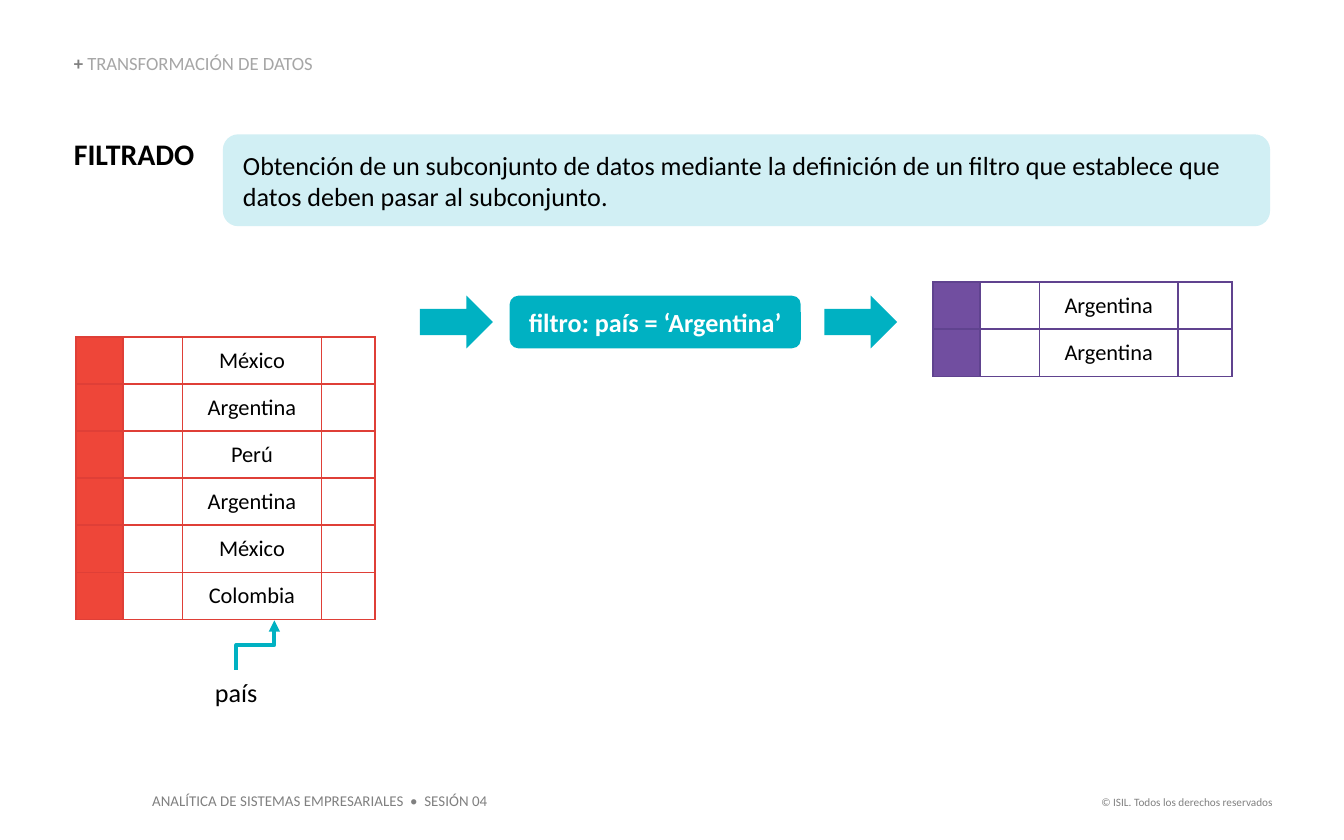
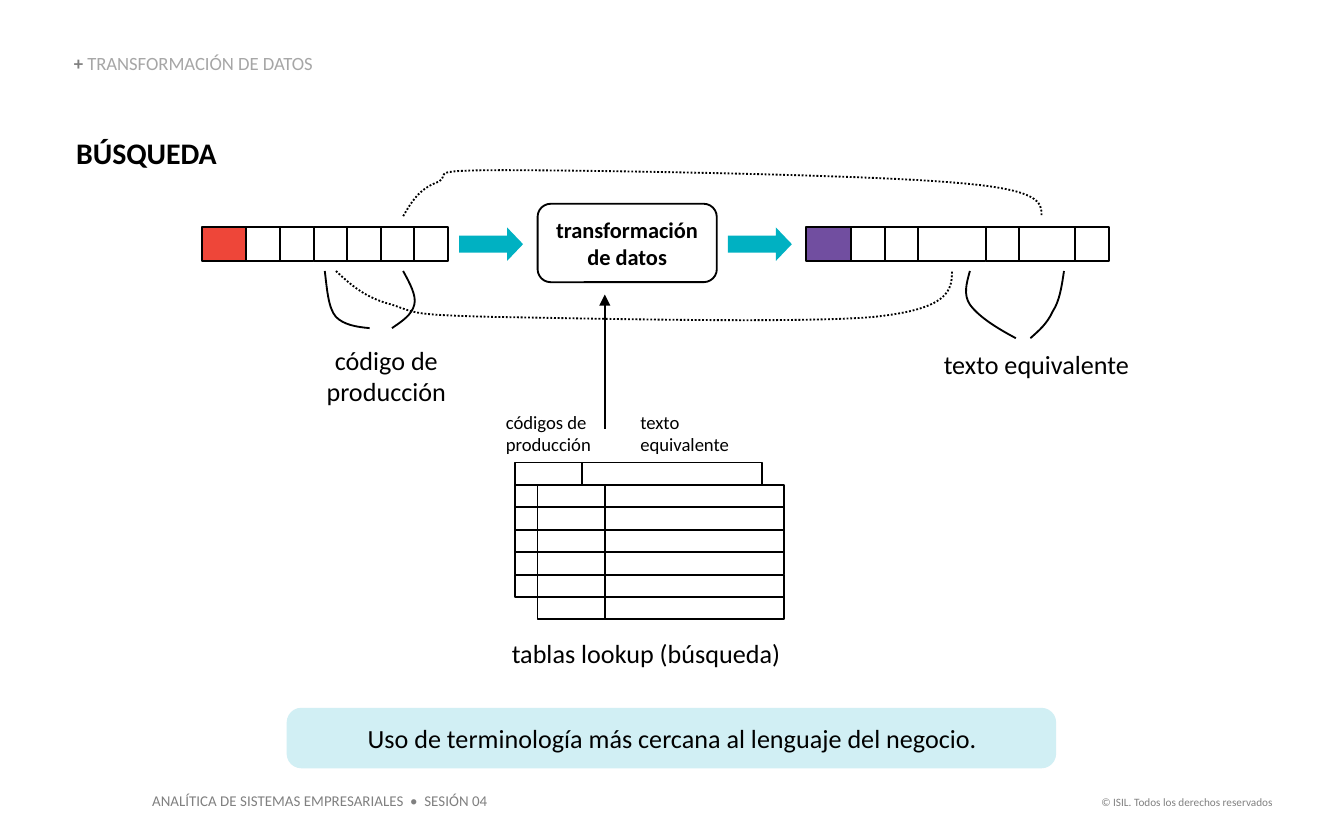
from itertools import accumulate

from lxml.etree import SubElement
from pptx import Presentation
from pptx.dml.color import RGBColor
from pptx.enum.dml import MSO_LINE
from pptx.enum.shapes import MSO_CONNECTOR, MSO_SHAPE
from pptx.enum.text import MSO_ANCHOR, MSO_AUTO_SIZE, PP_ALIGN
from pptx.oxml.ns import qn
from pptx.util import Pt

PX = 7620
BLACK, WHITE, GRAY, SILVER = "000000", "FFFFFF", "808080", "A6A6A6"
TEAL, PALE, RED, PURPLE = "00B1C2", "D1EFF4", "EE4639", "714EA0"
RED_EDGE, PURPLE_EDGE = "DF3F37", "60438F"
LEFT, CENTER, RIGHT = PP_ALIGN.LEFT, PP_ALIGN.CENTER, PP_ALIGN.RIGHT
TOP, MIDDLE, BOTTOM = MSO_ANCHOR.TOP, MSO_ANCHOR.MIDDLE, MSO_ANCHOR.BOTTOM
INSETS, NO_INSETS, NOTE_INSETS = (12, 6, 12, 6), (0, 0, 0, 0), (14, 6, 12, 6)


def rgb(value):
    return RGBColor.from_string(value)


def emu(*lengths):
    return [n * PX for n in lengths]


def assign(target, values):
    for name, value in values.items():
        setattr(target, name, value)


class Deck:
    font = "Calibri"

    def __init__(self):
        self.prs = Presentation()
        self.prs.slide_width, self.prs.slide_height = emu(1200, 750)
        self.s = None

    def slide(self, title, left, top):
        self.s = self.prs.slides.add_slide(self.prs.slide_layouts[5])
        sp = self.s.shapes.title
        assign(sp, dict(zip(("left", "top", "width", "height"), emu(left, top, 152, 32))))
        self.fill_text(sp.text_frame, [title], 16, bold=True, insets=NO_INSETS)
        self.text((66, 49, 319, 18),
                  [[("+ ", GRAY, True), ("TRANSFORMACIÓN DE DATOS", SILVER, False)]],
                  10, anchor=BOTTOM, insets=NO_INSETS, spacing=0.9)
        self.text((124, 701, 340, 29),
                  ["ANALÍTICA DE SISTEMAS EMPRESARIALES  •  SESIÓN 04"], 8, GRAY)
        self.text((968, 704, 180, 24),
                  ["© ISIL. Todos los derechos reservados"], 6, GRAY, align=RIGHT)

    def fill_text(self, tf, lines, size, color=BLACK, bold=False, align=LEFT,
                  anchor=TOP, insets=INSETS, spacing=1.0):
        margins = ("margin_left", "margin_top", "margin_right", "margin_bottom")
        assign(tf, {"word_wrap": True, "auto_size": MSO_AUTO_SIZE.NONE,
                    "vertical_anchor": anchor, **dict(zip(margins, emu(*insets)))})
        for i, line in enumerate(lines):
            p = tf.add_paragraph() if i else tf.paragraphs[0]
            assign(p, {"alignment": align, "line_spacing": spacing})
            runs = [(line, color, bold)] if isinstance(line, str) else line
            for text, run_color, run_bold in runs:
                r = p.add_run()
                r.text = text
                assign(r.font, {"name": self.font, "size": Pt(size), "bold": run_bold})
                r.font.color.rgb = rgb(run_color)

    def text(self, box, lines, size, color=BLACK, **fmt):
        sp = self.s.shapes.add_textbox(*emu(*box))
        self.fill_text(sp.text_frame, lines, size, color, **fmt)

    def paint(self, sp, fill=None, line=None):
        sp.shadow.inherit = False
        if fill:
            sp.fill.solid()
            sp.fill.fore_color.rgb = rgb(fill)
        else:
            sp.fill.background()
        if line:
            sp.line.color.rgb = rgb(line)
            sp.line.width = Pt(1)
        else:
            sp.line.fill.background()

    def shape(self, kind, box, fill=None, line=None, adjust=()):
        sp = self.s.shapes.add_shape(kind, *emu(*box))
        self.paint(sp, fill, line)
        for i, value in enumerate(adjust):
            sp.adjustments[i] = value
        return sp

    def panel(self, box, lines, size, fill=None, line=None, radius=0.167, **fmt):
        sp = self.shape(MSO_SHAPE.ROUNDED_RECTANGLE, box, fill, line, [radius])
        self.fill_text(sp.text_frame, lines, size, anchor=MIDDLE, **fmt)

    def block_arrow(self, box, head=0.5):
        self.shape(MSO_SHAPE.RIGHT_ARROW, box, TEAL, adjust=[0.5, head])

    def cells(self, left, top, widths, height, fills, line=BLACK):
        lefts = accumulate(widths, initial=left)
        for x, width, fill in zip(lefts, widths, fills):
            self.shape(MSO_SHAPE.RECTANGLE, (x, top, width, height), fill, line)

    def record(self, left, widths, key_fill):
        fills = [key_fill, None, None, WHITE, None, WHITE, None]
        self.cells(left, 203, widths, 30, fills)

    def lookup(self, left, top):
        for row in range(6):
            self.cells(left, top + 20 * row, [60, 160], 20, [WHITE, WHITE])

    def arrow(self, kind, ends, color, width, rotation=0):
        c = self.s.shapes.add_connector(kind, *emu(*ends))
        c.line.color.rgb = rgb(color)
        c.line.width = Pt(width)
        spPr = c._element.spPr
        if rotation:
            spPr.find(qn("a:xfrm")).set("rot", str(rotation * 60000))
        SubElement(spPr.find(qn("a:ln")), qn("a:tailEnd"), type="triangle")
        SubElement(spPr, qn("a:effectLst"))

    def curve(self, start, points, dotted=False):
        builder = self.s.shapes.build_freeform(*start, scale=PX)
        builder.add_line_segments(points, close=False)
        sp = builder.convert_to_shape()
        self.paint(sp, line=BLACK)
        if dotted:
            sp.line.dash_style = MSO_LINE.ROUND_DOT
        outline = sp._element.find(".//" + qn("a:path"))
        steps = outline.findall(qn("a:lnTo"))
        for i in range(0, len(steps), 3):
            bezier = SubElement(outline, qn("a:cubicBezTo"))
            for step in steps[i:i + 3]:
                bezier.append(step[0])
                outline.remove(step)

    def table(self, left, top, countries, key_fill, edge):
        widths, height = (42, 53, 124, 48), 42
        box = emu(left, top, sum(widths), height * len(countries))
        table = self.s.shapes.add_table(len(countries), len(widths), *box).table
        assign(table, {"first_row": False, "horz_banding": False})
        for column, width in zip(table.columns, widths):
            column.width = width * PX
        for row, country in zip(table.rows, countries):
            row.height = height * PX
            for cell, value in zip(row.cells, ("", "", country, "")):
                self.cell(cell, value, edge, WHITE)
            row.cells[0].fill.fore_color.rgb = rgb(key_fill)

    def cell(self, cell, value, edge, fill):
        assign(cell, {"margin_left": 8 * PX, "margin_right": 8 * PX,
                      "margin_top": 4 * PX, "margin_bottom": 4 * PX,
                      "vertical_anchor": MIDDLE})
        p = cell.text_frame.paragraphs[0]
        p.alignment = CENTER
        if value:
            r = p.add_run()
            r.text = value
            assign(r.font, {"name": self.font, "size": Pt(12)})
            r.font.color.rgb = rgb(BLACK)
        else:
            SubElement(p._p, qn("a:endParaRPr"), sz="1200")
        tcPr = cell._tc.get_or_add_tcPr()
        for side in ("lnL", "lnR", "lnT", "lnB"):
            ln = SubElement(tcPr, qn("a:" + side), w=str(Pt(1)))
            SubElement(SubElement(ln, qn("a:solidFill")), qn("a:srgbClr"), val=edge)
        cell.fill.solid()
        cell.fill.fore_color.rgb = rgb(fill)


def filter_slide(deck):
    deck.slide("FILTRADO", 66, 121)
    deck.text((180, 598, 66, 41), ["país"], 14)
    deck.panel((455, 264, 260, 47), ["filtro: país = ‘Argentina’"], 14, TEAL,
               color=WHITE, bold=True, align=CENTER)
    for left in (375, 736):
        deck.block_arrow((left, 264, 65, 47))
    deck.panel((199, 120, 935, 82),
               ["Obtención de un subconjunto de datos mediante la definición de un filtro "
                "que establece que datos deben pasar al subconjunto."],
               14, PALE, insets=NOTE_INSETS)
    countries = ["México", "Argentina", "Perú", "Argentina", "México", "Colombia"]
    deck.table(68, 301, countries, RED, RED_EDGE)
    deck.arrow(MSO_CONNECTOR.ELBOW, (250, 593, 206, 559), TEAL, 2, rotation=90)
    deck.table(833, 252, [c for c in countries if c == "Argentina"], PURPLE, PURPLE_EDGE)


def lookup_slide(deck):
    deck.slide("BÚSQUEDA", 68, 120)
    deck.record(180, [40] + [30] * 6, RED)
    deck.record(720, [40, 30, 30, 60, 30, 50, 30], PURPLE)
    deck.panel((480, 182, 160, 70), ["transformación", "de datos"], 12, line=BLACK,
               bold=True, align=CENTER, insets=(0, 6, 0, 6))
    for left in (410, 650):
        deck.block_arrow((left, 203, 57, 30), 0.477)

    deck.curve((360, 193), [(367, 181), (374, 169), (390, 163),
                            (406, 156), (373, 152), (450, 152),
                            (527, 152), (770, 156), (850, 163),
                            (930, 169), (930, 181), (930, 193)], dotted=True)
    deck.curve((300, 242), [(313, 254), (326, 266), (350, 272),
                            (373, 280), (368, 281), (440, 283),
                            (511, 284), (712, 289), (780, 283),
                            (848, 276), (850, 259), (850, 242)], dotted=True)
    deck.curve((330, 293), [(318, 292), (307, 290), (300, 283),
                            (293, 275), (292, 258), (290, 242)])
    deck.curve((350, 293), [(359, 287), (368, 281), (370, 272),
                            (372, 264), (366, 253), (360, 242)])
    deck.curve((907, 302), [(890, 293), (874, 283), (866, 272),
                            (860, 263), (863, 253), (866, 242)])
    deck.curve((920, 302), [(928, 295), (935, 289), (940, 278),
                            (946, 269), (948, 256), (950, 242)])

    deck.lookup(460, 413)
    for box, lines, size, align in (
        ((274, 301, 142, 69), ["código de", "producción"], 14, CENTER),
        ((824, 305, 203, 41), ["texto equivalente"], 14, CENTER),
        ((440, 360, 106, 53), ["códigos de", "producción"], 10, LEFT),
        ((560, 360, 109, 53), ["texto", "equivalente"], 10, LEFT),
        ((428, 563, 298, 41), ["tablas lookup (búsqueda)"], 14, CENTER),
    ):
        deck.text(box, lines, size, align=align, anchor=MIDDLE)
    deck.arrow(MSO_CONNECTOR.STRAIGHT, (540, 383, 540, 263), BLACK, 1)
    deck.lookup(480, 433)
    deck.panel((256, 632, 687, 54),
               ["Uso de terminología más cercana al lenguaje del negocio."],
               14, PALE, radius=0.242, align=CENTER, insets=NOTE_INSETS)


def main():
    deck = Deck()
    filter_slide(deck)
    lookup_slide(deck)
    deck.prs.save("out.pptx")


if __name__ == "__main__":
    main()
